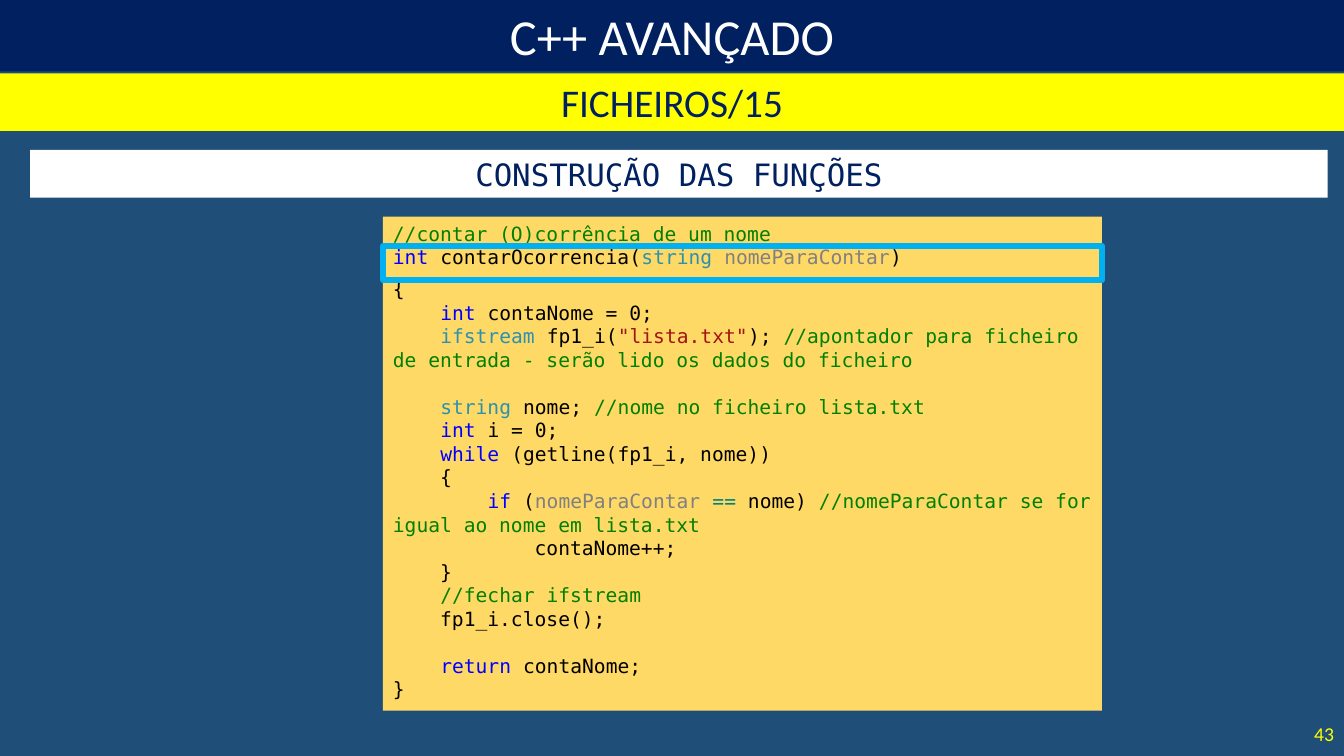
from dataclasses import dataclass

from pptx import Presentation
from pptx.dml.color import RGBColor
from pptx.enum import shapes, text
from pptx.util import Cm, Pt


@dataclass(frozen=True)
class Theme:
    page: str = "1F4E79"
    navy: str = "002060"
    yellow: str = "FFFF00"
    white: str = "FFFFFF"
    code_fill: str = "FFD966"
    highlight: str = "00B0F0"
    plain: str = "000000"
    comment: str = "008000"
    keyword: str = "0000FF"
    type_name: str = "2B91AF"
    parameter: str = "808080"
    literal: str = "A31515"
    operator: str = "008080"
    sans: str = "Calibri"
    mono: str = "DejaVu Sans Mono"
    title_size: float = 36
    topic_size: float = 28
    heading_size: float = 22
    code_size: float = 14
    number_size: float = 14
    blank_line: float = 16.8


THEME = Theme()


@dataclass(frozen=True)
class Area:
    left: float
    top: float
    width: float
    height: float

    def lengths(self) -> tuple:
        return Cm(self.left), Cm(self.top), Cm(self.width), Cm(self.height)


@dataclass(frozen=True)
class Span:
    words: str
    color: str = THEME.plain


@dataclass(frozen=True)
class Line:
    spans: tuple
    before: float = 0


@dataclass(frozen=True)
class Band:
    area: Area
    words: str
    fill: str
    color: str
    font: str
    size: float


def line(*spans: Span, before: float = 0) -> Line:
    return Line(spans, before)


def plain(words: str) -> Span:
    return Span(words)


def comment(words: str) -> Span:
    return Span(words, THEME.comment)


def keyword(words: str) -> Span:
    return Span(words, THEME.keyword)


def type_name(words: str) -> Span:
    return Span(words, THEME.type_name)


def parameter(words: str) -> Span:
    return Span(words, THEME.parameter)


TITLE = Band(Area(0, 0, 33.86, 1.8), "C++ AVANÇADO",
             THEME.navy, THEME.white, THEME.sans, THEME.title_size)
BANDS = (
    Band(Area(0, 1.85, 33.86, 1.45), "FICHEIROS/15",
         THEME.yellow, THEME.navy, THEME.sans, THEME.topic_size),
    Band(Area(0.76, 3.78, 32.69, 1.2), "CONSTRUÇÃO DAS FUNÇÕES",
         THEME.white, THEME.navy, THEME.mono, THEME.heading_size),
)
CODE_AREA = Area(9.65, 5.46, 18.11, 12.45)
SIGNATURE_AREA = Area(9.65, 6.2, 18.11, 0.86)
NUMBER_AREA = Area(30.73, 17.98, 3.13, 1.02)

CODE = (
    line(comment("//contar (O)corrência de um nome")),
    line(keyword("int "), plain("contarOcorrencia("), type_name("string "),
         parameter("nomeParaContar"), plain(")")),
    line(plain("{"), before=6),
    line(plain("    "), keyword("int "), plain("contaNome = 0;")),
    line(plain("    "), type_name("ifstream"), plain(" fp1_i("),
         Span('"lista.txt"', THEME.literal), plain("); "),
         comment("//apontador para ficheiro de entrada - serão lido os dados do ficheiro")),
    line(plain("    "), type_name("string"), plain(" nome; "),
         comment("//nome no ficheiro lista.txt"), before=THEME.blank_line),
    line(plain("    "), keyword("int"), plain(" i = 0;")),
    line(plain("    "), keyword("while"), plain(" (getline(fp1_i, nome))")),
    line(plain("    {")),
    line(plain("        "), keyword("if"), plain(" ("), parameter("nomeParaContar "),
         Span("==", THEME.operator), plain(" nome) "),
         comment("//nomeParaContar se for igual ao nome em lista.txt")),
    line(plain("            contaNome++;")),
    line(plain("    }")),
    line(plain("    "), comment("//fechar ifstream")),
    line(plain("    fp1_i.close();")),
    line(plain("    "), keyword("return "), plain("contaNome;"), before=THEME.blank_line),
    line(plain("}")),
)


def paint(shape, color: str) -> None:
    shape.fill.solid()
    shape.fill.fore_color.rgb = RGBColor.from_string(color)


def add_rectangle(page, area: Area):
    box = page.shapes.add_shape(shapes.MSO_SHAPE.RECTANGLE, *area.lengths())
    box.shadow.inherit = False
    box.line.fill.background()
    return box


def write(box, lines: tuple, font: str, size: float, align: text.PP_ALIGN,
          anchor: text.MSO_ANCHOR = text.MSO_ANCHOR.MIDDLE) -> None:
    frame = box.text_frame
    frame.word_wrap = True
    frame.auto_size = text.MSO_AUTO_SIZE.NONE
    frame.vertical_anchor = anchor
    for index, entry in enumerate(lines):
        para = frame.add_paragraph() if index else frame.paragraphs[0]
        para.alignment = align
        para.line_spacing = 1.0
        para.space_before = Pt(entry.before)
        for span in entry.spans:
            run = para.add_run()
            run.text = span.words
            run.font.name = font
            run.font.size = Pt(size)
            run.font.color.rgb = RGBColor.from_string(span.color)


def fill_band(box, band: Band) -> None:
    paint(box, band.fill)
    write(box, (line(Span(band.words, band.color)),), band.font, band.size,
          text.PP_ALIGN.CENTER)


def add_title(page) -> None:
    title = page.shapes.title
    title.left, title.top, title.width, title.height = TITLE.area.lengths()
    fill_band(title, TITLE)


def add_code(page) -> None:
    box = add_rectangle(page, CODE_AREA)
    paint(box, THEME.code_fill)
    write(box, CODE, THEME.mono, THEME.code_size, text.PP_ALIGN.LEFT, text.MSO_ANCHOR.TOP)
    frame = add_rectangle(page, SIGNATURE_AREA)
    frame.fill.background()
    frame.line.color.rgb = RGBColor.from_string(THEME.highlight)
    frame.line.width = Pt(4.5)


def add_page_number(page) -> None:
    box = page.shapes.add_textbox(*NUMBER_AREA.lengths())
    write(box, (line(Span("43", THEME.yellow)),), THEME.sans, THEME.number_size,
          text.PP_ALIGN.RIGHT)


def main() -> None:
    deck = Presentation()
    deck.slide_width, deck.slide_height = Cm(33.86), Cm(19.05)
    page = deck.slides.add_slide(deck.slide_layouts.get_by_name("Title Only"))
    paint(page.background, THEME.page)
    add_title(page)
    for band in BANDS:
        fill_band(add_rectangle(page, band.area), band)
    add_code(page)
    add_page_number(page)
    deck.save("out.pptx")


if __name__ == "__main__":
    main()
